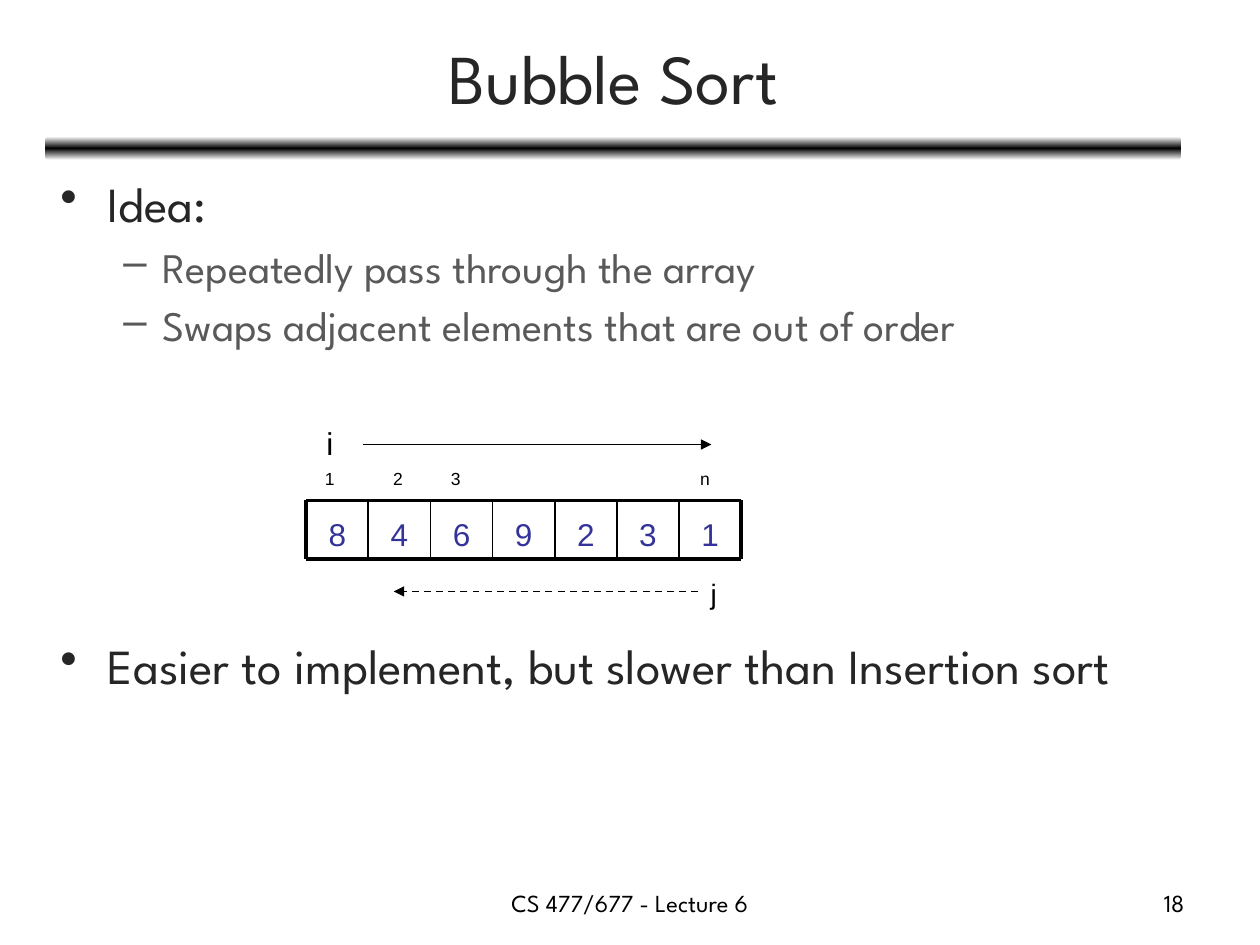
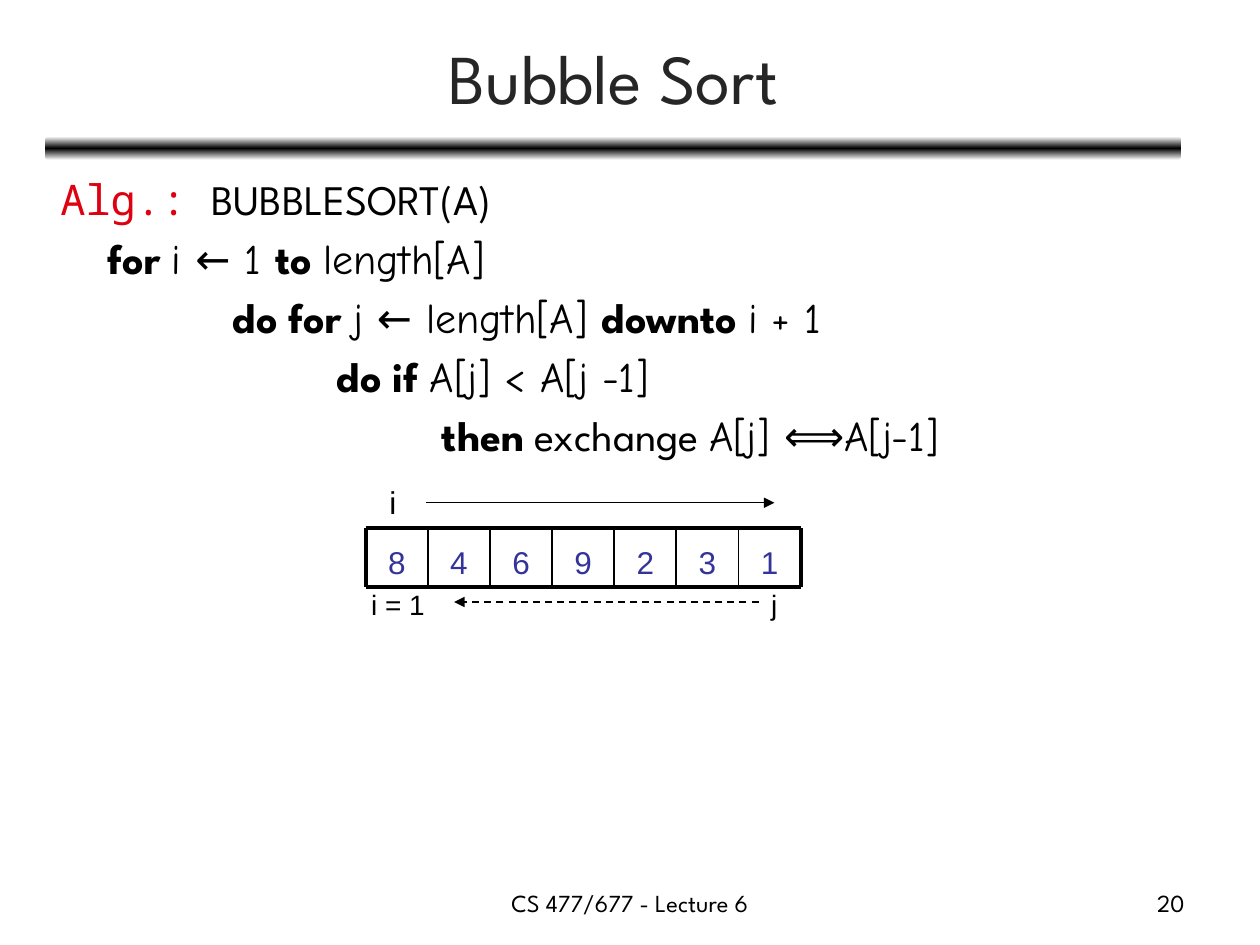
import copy

import pptx
import pptx.dml.color
import pptx.enum.dml
import pptx.enum.shapes
import pptx.enum.text
import pptx.oxml.ns
import pptx.oxml.xmlchemy
import pptx.util
from lxml import etree

Pt = pptx.util.Pt
RGBColor = pptx.dml.color.RGBColor
ALIGN = pptx.enum.text.PP_ALIGN
ANCHOR = pptx.enum.text.MSO_ANCHOR
SHAPE = pptx.enum.shapes.MSO_SHAPE
qn = pptx.oxml.ns.qn

BLACK = RGBColor(0x00, 0x00, 0x00)
WHITE = RGBColor(0xFF, 0xFF, 0xFF)
INK = RGBColor(0x26, 0x26, 0x26)
GREY = RGBColor(0x59, 0x59, 0x59)
RED = RGBColor(0xDD, 0x01, 0x11)
BLUE = RGBColor(0x33, 0x33, 0x99)

MAIN, PLAIN, HAND, MONO = "League Spartan", "Arial", "Comic Neue", "Noto Sans Mono"
BODY = (27.4, 95.8, 648, 264)
CELL_W, CELL_H = 35.5, 33.3
VALUES = "8469231"


# Shared helpers
def style(para, size, color=None, font=None, align=None):
    para.font.size = Pt(size)
    if color is not None:
        para.font.color.rgb = color
    if font:
        para.font.name = font
    if align is not None:
        para.alignment = align


def add_box(shapes, box, wrap=True, anchor=ANCHOR.TOP):
    frame = shapes.add_textbox(*map(Pt, box)).text_frame
    frame.word_wrap = wrap
    frame.vertical_anchor = anchor
    return frame


def add_text(shapes, box, text, size, color=BLACK, font=PLAIN,
             align=ALIGN.LEFT, anchor=ANCHOR.TOP, wrap=True):
    para = add_box(shapes, box, wrap, anchor).paragraphs[0]
    para.text = text
    style(para, size, color, font, align)


def add_line(shapes, start, end, width, arrow=False, dash=False):
    line = shapes.add_connector(pptx.enum.shapes.MSO_CONNECTOR.STRAIGHT,
                                *map(Pt, (*start, *end)))
    line.line.color.rgb = BLACK
    line.line.width = Pt(width)
    if dash:
        line.line.dash_style = pptx.enum.dml.MSO_LINE.DASH
    props = line.element.spPr
    if arrow:
        etree.SubElement(props.find(qn("a:ln")), qn("a:tailEnd"), type="triangle")
    etree.SubElement(props, qn("a:effectLst"))


def next_para(frame, index):
    return frame.add_paragraph() if index else frame.paragraphs[0]


def indent(para, left, first):
    props = para._p.get_or_add_pPr()
    props.set("marL", str(Pt(left)))
    props.set("indent", str(Pt(first)))
    return props


# Title, band and footer
def add_frame(deck, number):
    slide = deck.slides.add_slide(deck.slide_layouts[6])
    shapes = slide.shapes
    band = shapes.add_shape(SHAPE.ROUNDED_RECTANGLE, *map(Pt, (26, 78, 649, 13.5)))
    band.shadow.inherit = False
    band.line.fill.background()
    band.fill.gradient()
    band.fill.gradient_angle = 90
    stops = band.element.spPr.find(".//" + qn("a:gsLst"))
    stops.append(copy.deepcopy(stops[0]))
    for stop, place, color in zip(band.fill.gradient_stops, (0, 0.5, 1),
                                  (WHITE, BLACK, WHITE)):
        stop.position = place
        stop.color.rgb = color

    add_text(shapes, (26.6, 8, 648, 71.3), "Bubble Sort", 40, INK, MAIN,
             ALIGN.CENTER, ANCHOR.MIDDLE)
    add_text(shapes, (246, 504, 228, 25), "CS 477/677 - Lecture 6", 14,
             font=MAIN, align=ALIGN.CENTER)
    add_text(shapes, (516, 504, 168, 25), str(number), 14,
             font=MAIN, align=ALIGN.RIGHT)
    return shapes


# Bulleted text: (level, text) items
def add_points(shapes, box, items):
    looks = ((28, INK, 27, -27, "•"), (24, GREY, 58.5, -22.5, "–"))
    frame = add_box(shapes, box)
    for index, (level, text) in enumerate(items):
        size, color, left, first, mark = looks[level]
        para = next_para(frame, index)
        para.text = text
        para.level = level
        para.space_before = Pt(size * 0.2)
        props = indent(para, left, first)
        style(para, size, color, MAIN)
        bullet = etree.Element(qn("a:buChar"), char=mark)
        props.find(qn("a:defRPr")).addprevious(bullet)


# Code: (indent, runs) lines, each run being (text, font, bold)
def add_code(shapes, box, lines):
    frame = add_box(shapes, box)
    for index, (left, runs) in enumerate(lines):
        para = next_para(frame, index)
        para.space_before = Pt(4.8)
        indent(para, left, 0)
        style(para, 24)
        for text, font, bold in runs:
            run = para.add_run()
            run.text = text
            run.font.name = font
            run.font.bold = bold
            run.font.color.rgb = RED if font == MONO else BLACK


# Row of array cells
def add_array(shapes, left, top):
    group = shapes.add_group_shape().shapes
    count = len(VALUES)
    right, base = left + count * CELL_W, top + CELL_H
    for index, value in enumerate(VALUES):
        add_text(group, (left + index * CELL_W, top, CELL_W, CELL_H), value, 18,
                 BLUE, align=ALIGN.CENTER, anchor=ANCHOR.BOTTOM)
    for y in (top, base):
        add_line(group, (left, y), (right, y), 2.25)
    for index in range(count + 1):
        x = left + index * CELL_W
        add_line(group, (x, top), (x, base), 2.25 if index in (0, count) else 1)


# Labelled arrows for the two loops
def add_i(shapes, left, y):
    add_text(shapes, (left, y - 15, 18.7, 29), "i", 18, wrap=False)
    add_line(shapes, (left + 28, y), (left + 227, y), 0.75, arrow=True)


def add_j(shapes, left, y):
    add_text(shapes, (left, y - 12, 18, 26.6), "j", 16, wrap=False)
    add_line(shapes, (left, y), (left - 174, y), 1, arrow=True, dash=True)


def add_idea(deck):
    shapes = add_frame(deck, 18)
    left, top, width, height = BODY
    add_points(shapes, (left, top, width, 120), [
        (0, "Idea:"),
        (1, "Repeatedly pass through the array"),
        (1, "Swaps adjacent elements that are out of order"),
    ])
    add_points(shapes, (left, top + height, width, 50),
               [(0, "Easier to implement, but slower than Insertion sort")])
    x, y = 175, 286
    for shift, label in ((3.6, "1"), (42.5, "2"), (75.6, "3"), (218, "n")):
        add_text(shapes, (x + shift, y - 22.3, 18, 19.4), label, 10)
    add_i(shapes, x + 4.5, y - 32)
    add_array(shapes, x, y)
    add_j(shapes, x + 224, y + 52)


def add_steps(deck):
    shapes = add_frame(deck, 20)
    add_code(shapes, BODY, [
        (0, [("Alg.: ", MONO, False), ("BUBBLESORT(A)", MAIN, False)]),
        (27, [("for ", MAIN, True), ("i ← 1 ", HAND, False),
              ("to ", MAIN, True), ("length[A]", HAND, False)]),
        (98.5, [("do for ", MAIN, True), ("j ← length[A] ", HAND, False),
                ("downto ", MAIN, True), ("i + 1", HAND, False)]),
        (158, [("do if ", MAIN, True), ("A[j] < A[j -1]", HAND, False)]),
        (218, [("then", MAIN, True), (" exchange ", MAIN, False),
               ("A[j] ⟺A[j-1]", HAND, False)]),
    ])
    x, y = 209, 302
    add_i(shapes, x + 6.5, y - 14.7)
    add_array(shapes, x, y)
    add_text(shapes, (x - 4, y + 30, 45.4, 26.6), "i = 1", 16, wrap=False)
    add_j(shapes, x + 224.5, y + 42)


def main():
    deck = pptx.Presentation()
    deck.slide_width, deck.slide_height = Pt(720), Pt(540)
    add_idea(deck)
    add_steps(deck)
    deck.save("out.pptx")


if __name__ == "__main__":
    main()
